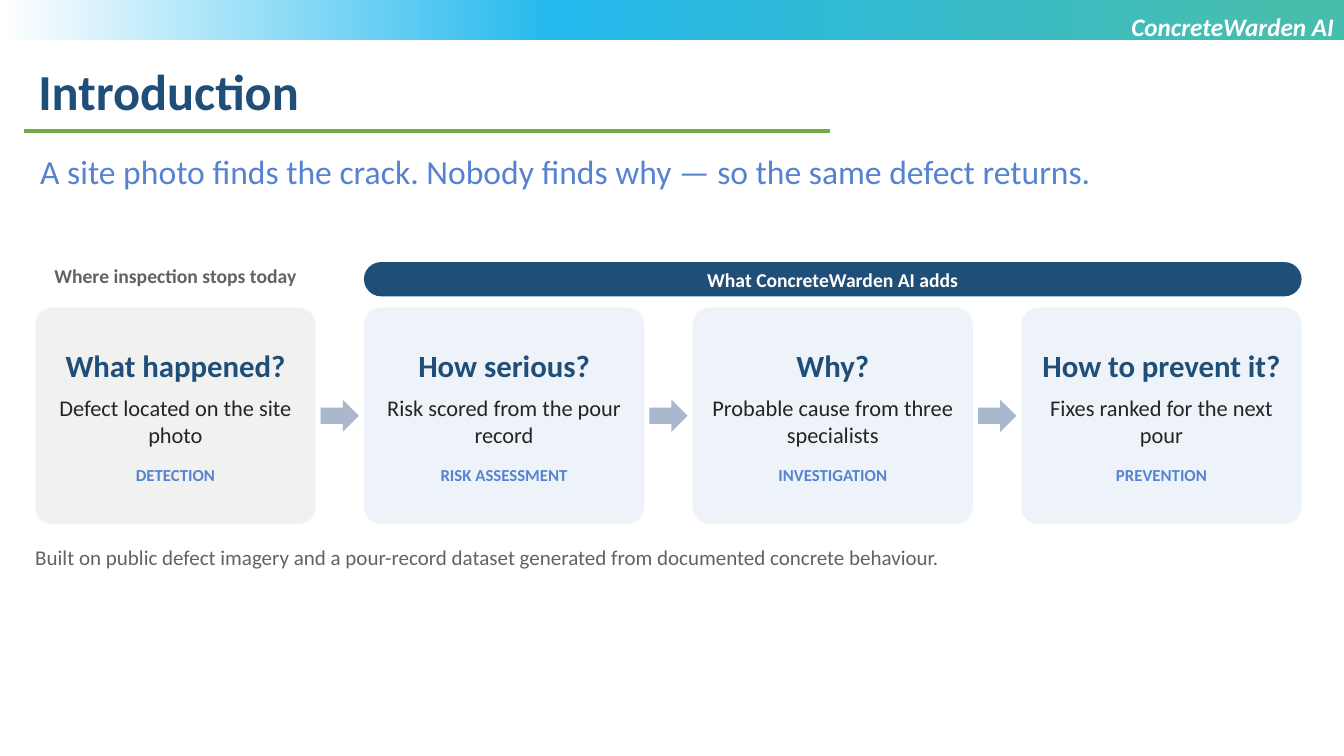
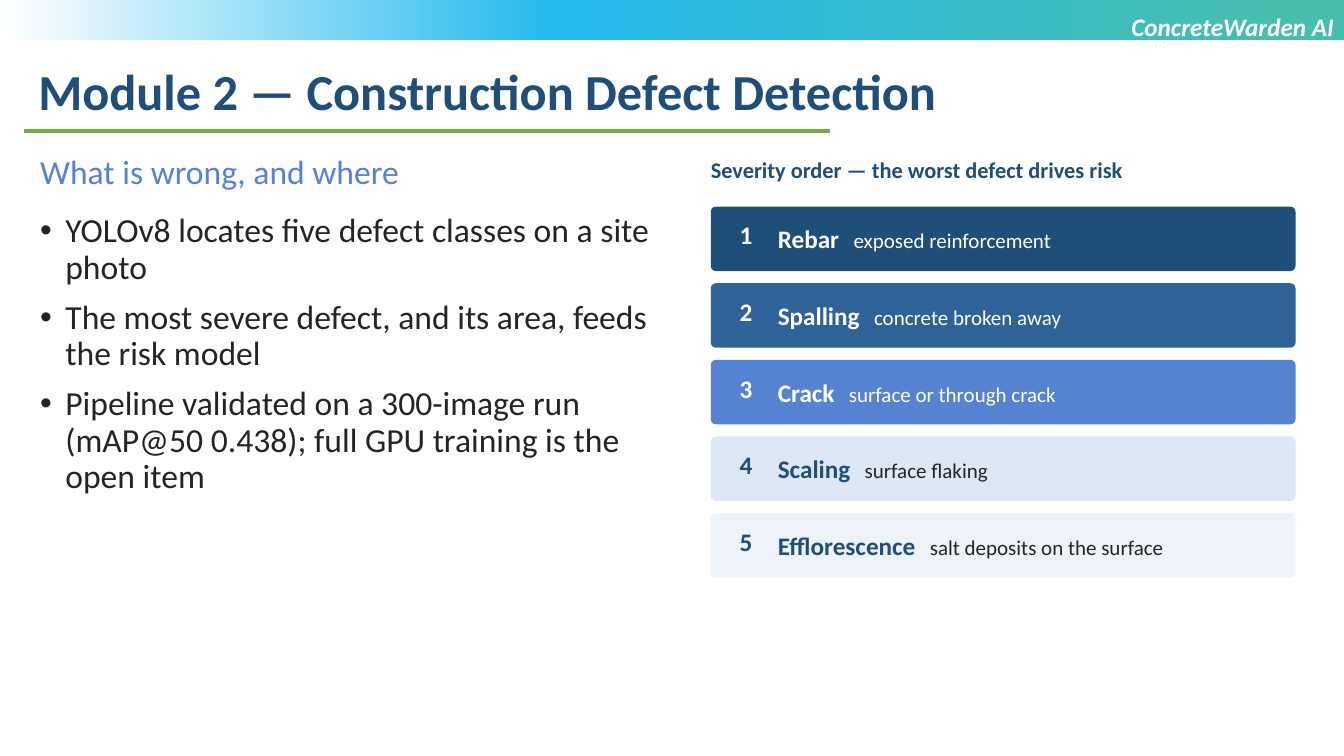
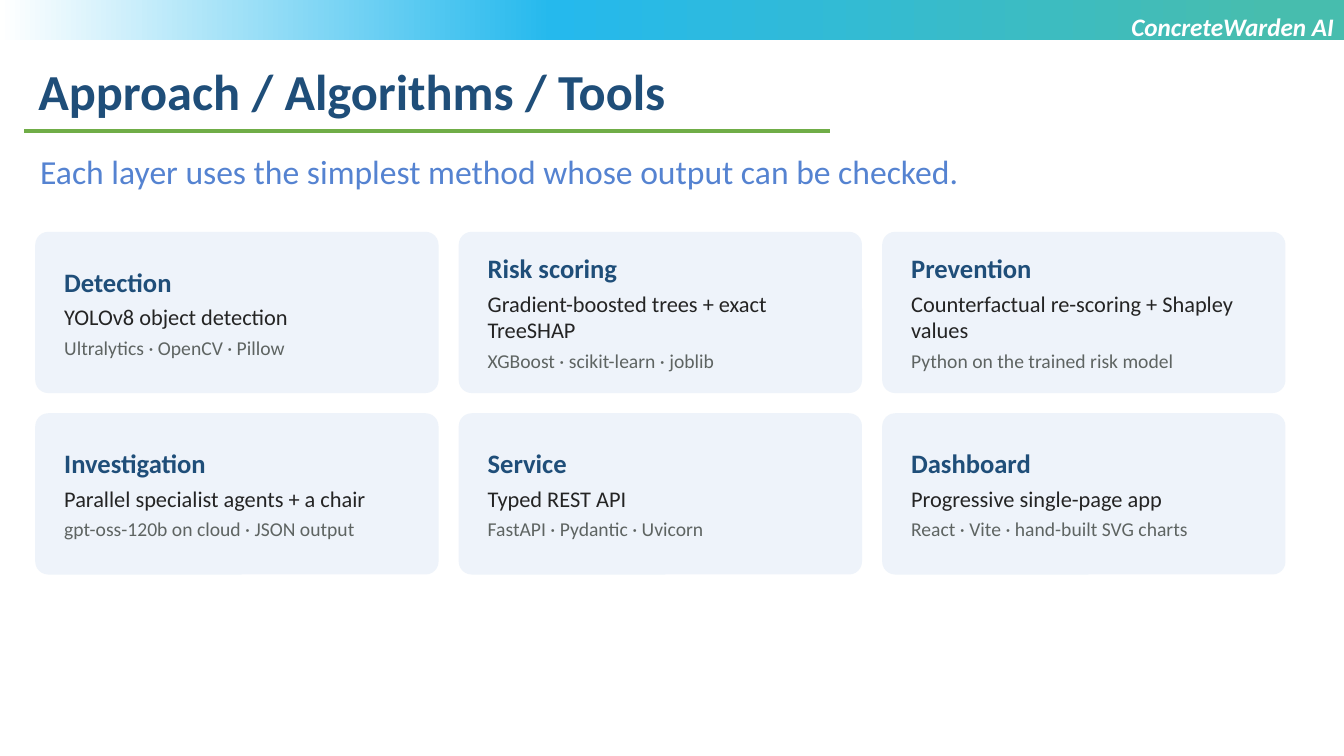
from lxml.etree import SubElement
from pptx import Presentation
from pptx.dml.color import RGBColor
from pptx.enum.shapes import MSO_CONNECTOR, MSO_SHAPE
from pptx.enum.text import MSO_ANCHOR, MSO_AUTO_SIZE, PP_ALIGN
from pptx.oxml.ns import qn
from pptx.util import Inches, Pt

# Shared style
W, H = 13.33, 7.5
FONT = "Calibri"
NAVY, BLUE, INK, GREY, WHITE = "1F4E79", "5583D1", "242424", "5E6462", "FFFFFF"
PALE, STONE, ARROW, GREEN = "EEF3FA", "F1F2F0", "A9B8CC", "70AD47"
BAND_STOPS = [(5, "47BDAE"), (59, "25B9ED"), (100, WHITE)]
BRAND = "ConcreteWarden AI"
LEFT, CENTER, RIGHT = PP_ALIGN.LEFT, PP_ALIGN.CENTER, PP_ALIGN.RIGHT
NO_INSET = (0, 0, 0, 0)
BOX_INSET = (0.1, 0.05, 0.1, 0.05)
CARD_INSET = (0.14, 0.08, 0.14, 0.08)

# Content
INTRO_LEAD = "A site photo finds the crack. Nobody finds why — so the same defect returns."
INTRO_NOTE = ("Built on public defect imagery and a pour-record dataset "
              "generated from documented concrete behaviour.")
QUESTIONS = [
    ("What happened?", "Defect located on the site photo", "DETECTION"),
    ("How serious?", "Risk scored from the pour record", "RISK ASSESSMENT"),
    ("Why?", "Probable cause from three specialists", "INVESTIGATION"),
    ("How to prevent it?", "Fixes ranked for the next pour", "PREVENTION"),
]
DETECTION_POINTS = [
    "YOLOv8 locates five defect classes on a site photo",
    "The most severe defect, and its area, feeds the risk model",
    "Pipeline validated on a 300-image run (mAP@50 0.438); "
    "full GPU training is the open item",
]
SEVERITY = [  # defect, meaning, fill, name colour, meaning colour
    ("Rebar", "exposed reinforcement", NAVY, WHITE, WHITE),
    ("Spalling", "concrete broken away", "2F6296", WHITE, WHITE),
    ("Crack", "surface or through crack", BLUE, WHITE, WHITE),
    ("Scaling", "surface flaking", "DDE7F5", NAVY, INK),
    ("Efflorescence", "salt deposits on the surface", PALE, NAVY, INK),
]
TOOLS_LEAD = "Each layer uses the simplest method whose output can be checked."
LAYERS = [
    ("Detection", "YOLOv8 object detection", "Ultralytics · OpenCV · Pillow"),
    ("Risk scoring", "Gradient-boosted trees + exact TreeSHAP",
     "XGBoost · scikit-learn · joblib"),
    ("Prevention", "Counterfactual re-scoring + Shapley values",
     "Python on the trained risk model"),
    ("Investigation", "Parallel specialist agents + a chair",
     "gpt-oss-120b on cloud · JSON output"),
    ("Service", "Typed REST API", "FastAPI · Pydantic · Uvicorn"),
    ("Dashboard", "Progressive single-page app", "React · Vite · hand-built SVG charts"),
]


# Helpers
def rgb(value):
    return RGBColor.from_string(value)


def style(r, size, color, bold=False, italic=False):
    r.font.name, r.font.size = FONT, Pt(size)
    r.font.bold, r.font.italic = bold, italic
    r.font.color.rgb = rgb(color)


def add_run(p, text, *look):
    r = p.add_run()
    r.text = text
    style(r, *look)
    return r


def write(sp, paras, align=LEFT, inset=BOX_INSET, anchor=MSO_ANCHOR.TOP):
    """Fill a shape with (text, space before, size, colour, bold, italic) paragraphs."""
    tf = sp.text_frame
    tf.word_wrap, tf.auto_size, tf.vertical_anchor = True, MSO_AUTO_SIZE.NONE, anchor
    tf.margin_left, tf.margin_top, tf.margin_right, tf.margin_bottom = map(Inches, inset)
    for i, (text, before, *look) in enumerate(paras):
        p = tf.add_paragraph() if i else tf.paragraphs[0]
        p.alignment = align
        p.space_before = Pt(before)
        add_run(p, text, *look)
    return tf


def add_text(s, at, paras, **options):
    return write(s.shapes.add_textbox(*map(Inches, at)), paras, **options)


def add_box(s, kind, at, fill=None, adj=None):
    sp = s.shapes.add_shape(kind, *map(Inches, at))
    sp.shadow.inherit = False
    sp.line.fill.background()
    if fill:
        sp.fill.solid()
        sp.fill.fore_color.rgb = rgb(fill)
    if adj is not None:
        sp.adjustments[0] = adj
    return sp


def add_card(s, at, fill, paras, align=LEFT, inset=CARD_INSET, adj=0.08):
    sp = add_box(s, MSO_SHAPE.ROUNDED_RECTANGLE, at, fill, adj)
    return write(sp, paras, align=align, inset=inset, anchor=MSO_ANCHOR.MIDDLE)


def add_lead(s, text, w=12.4, h=0.7):
    return add_text(s, (0.3, 1.45, w, h), [(text, 0, 24, BLUE)])


def add_bullet(p):
    pPr = p._p.get_or_add_pPr()
    pPr.set("marL", str(Inches(0.25)))
    pPr.set("indent", str(Inches(-0.25)))
    SubElement(pPr, qn("a:buFont")).set("typeface", "Arial")
    SubElement(pPr, qn("a:buChar")).set("char", "•")


def add_band(s, layout):
    """Draw the gradient band and hand it to the layout that all slides use."""
    band = add_box(s, MSO_SHAPE.RECTANGLE, (0, 0, W, 0.4))
    band.fill.gradient()
    band.fill.gradient_angle = 180
    stops = next(band._element.iter(qn("a:gsLst")))
    for gs in list(stops):
        stops.remove(gs)
    for pos, color in BAND_STOPS:
        gs = SubElement(stops, qn("a:gs"), pos=str(pos * 1000))
        SubElement(gs, qn("a:srgbClr"), val=color)
    layout.shapes.element.append(band._element)


def new_slide(prs, title):
    s = prs.slides.add_slide(prs.slide_layouts[5])
    sp = s.shapes.title
    sp.left, sp.top, sp.width, sp.height = map(Inches, (0.28, 0.55, 11.62, 0.71))
    write(sp, [(title, 0, 36, NAVY, True)])
    rule = s.shapes.add_connector(MSO_CONNECTOR.STRAIGHT,
                                  *map(Inches, (0.24, 1.3, 8.23, 1.3)))
    rule.line.color.rgb = rgb(GREEN)
    rule.line.width = Pt(2.25)
    SubElement(rule._element.spPr, qn("a:effectLst"))
    add_text(s, (W / 2, 0.06, W / 2, 0.71), [(BRAND, 0, 18, WHITE, True, True)], align=RIGHT)
    return s


# Slides
def intro_slide(prs):
    s = new_slide(prs, "Introduction")
    add_band(s, prs.slide_layouts[5])
    add_lead(s, INTRO_LEAD)
    left, top, w, h, gap = 0.35, 3.05, 2.78, 2.15, 0.48
    arrow_w, arrow_h = 0.38, 0.32
    step = w + gap
    add_text(s, (left, 2.62, w, 0.35), [("Where inspection stops today", 0, 14, GREY, True)],
             align=CENTER, inset=NO_INSET)
    add_card(s, (left + step, 2.6, 2 * step + w, 0.34), NAVY,
             [(f"What {BRAND} adds", 0, 14, WHITE, True)], align=CENTER, adj=0.5)
    for i, (question, answer, stage) in enumerate(QUESTIONS):
        x = left + i * step
        if i:
            add_box(s, MSO_SHAPE.RIGHT_ARROW,
                    (x - (gap + arrow_w) / 2, top + (h - arrow_h) / 2, arrow_w, arrow_h), ARROW)
        add_card(s, (x, top, w, h), PALE if i else STONE,
                 [(question, 0, 22, NAVY, True), (answer, 8, 16, INK),
                  (stage, 12, 12, BLUE, True)], align=CENTER)
    add_text(s, (left, 5.4, 12.4, 0.45), [(INTRO_NOTE, 0, 15, GREY)], inset=NO_INSET)


def detection_slide(prs):
    s = new_slide(prs, "Module 2 — Construction Defect Detection")
    tf = add_lead(s, "What is wrong, and where", 6.35, 4.5)
    tf.paragraphs[0].space_after = Pt(6)
    for point in DETECTION_POINTS:
        p = tf.add_paragraph()
        add_bullet(p)
        p.line_spacing, p.space_before = 0.9, Pt(10)
        add_run(p, point, 24, INK)

    left, top, w, h, gap = 7.05, 2.05, 5.8, 0.64, 0.12
    add_text(s, (left, 1.55, w, 0.4),
             [("Severity order — the worst defect drives risk", 0, 16, NAVY, True)],
             inset=NO_INSET)
    for i, (defect, meaning, fill, name_color, meaning_color) in enumerate(SEVERITY):
        y = top + i * (h + gap)
        tf = add_card(s, (left, y, w, h), fill, [(defect, 0, 18, name_color, True)],
                      inset=(0.65, 0.08, 0.14, 0.08))
        p = tf.paragraphs[0]
        space = add_run(p, " ", 15, meaning_color)
        space.font._element.set("spc", "680")  # widen the gap after the name
        add_run(p, meaning, 15, meaning_color)
        add_text(s, (left + 0.15, y + 0.13, 0.4, 0.4),
                 [(str(i + 1), 0, 18, name_color, True)], align=CENTER, inset=NO_INSET)


def tools_slide(prs):
    s = new_slide(prs, "Approach / Algorithms / Tools")
    add_lead(s, TOOLS_LEAD)
    left, top, w, h, gap, columns = 0.35, 2.3, 4, 1.6, 0.2, 3
    for i, (layer, method, tools) in enumerate(LAYERS):
        row, col = divmod(i, columns)
        add_card(s, (left + col * (w + gap), top + row * (h + gap), w, h), PALE,
                 [(layer, 0, 19, NAVY, True), (method, 4, 16, INK), (tools, 4, 14, GREY)],
                 inset=(0.25, 0.08, 0.14, 0.08))


def main():
    prs = Presentation()
    prs.slide_width, prs.slide_height = Inches(W), Inches(H)
    intro_slide(prs)
    detection_slide(prs)
    tools_slide(prs)
    prs.save("out.pptx")


if __name__ == "__main__":
    main()
